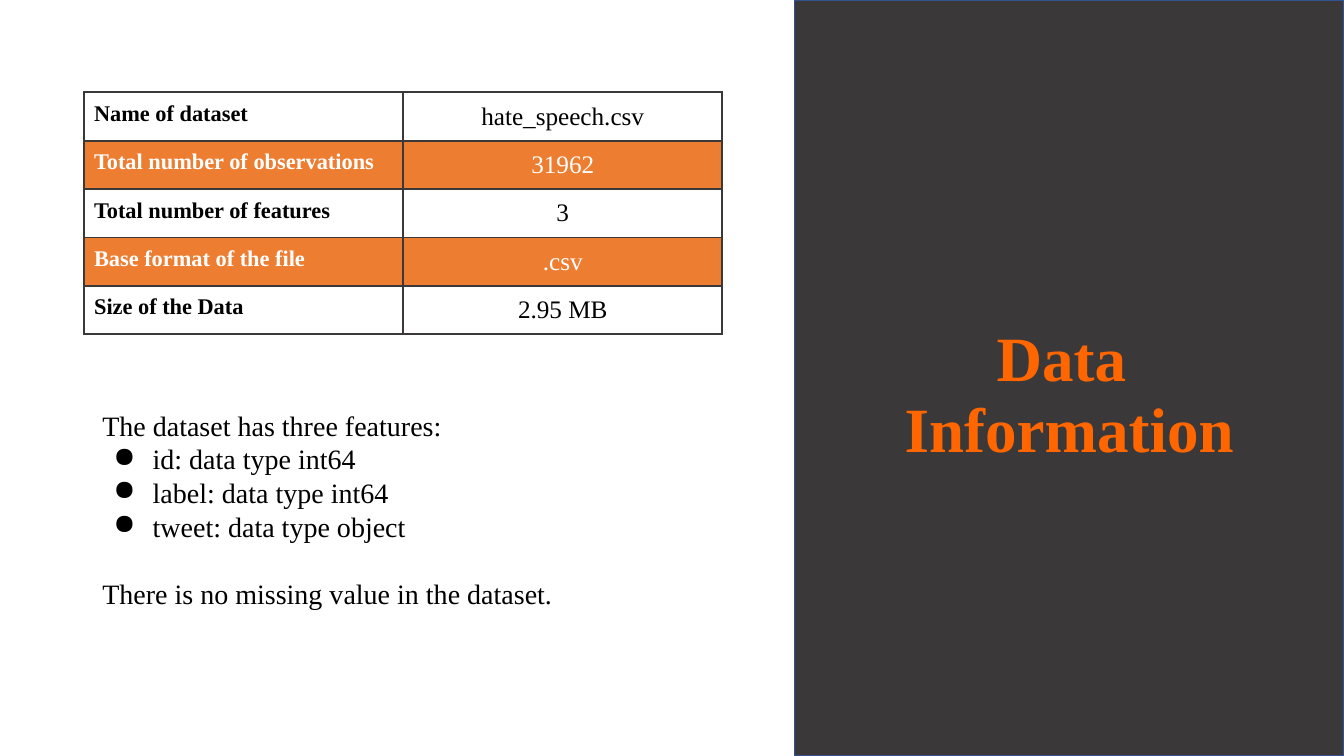
from pptx import Presentation
from pptx.dml.color import RGBColor
from pptx.enum.shapes import MSO_SHAPE
from pptx.enum.text import MSO_ANCHOR, PP_ALIGN
from pptx.oxml import parse_xml
from pptx.oxml.ns import nsdecls
from pptx.util import Inches, Pt

CHARCOAL = RGBColor(0x3A, 0x38, 0x38)
NAVY = RGBColor(0x31, 0x53, 0x8F)
BRIGHT_ORANGE = RGBColor(0xFF, 0x66, 0x00)
ORANGE = RGBColor(0xED, 0x7D, 0x31)
BLACK = RGBColor(0x00, 0x00, 0x00)
WHITE = RGBColor(0xFF, 0xFF, 0xFF)

FONT = "Times New Roman"
COLUMNS, ROWS = 160, 90
UNIT = Inches(1 / 12)
PANEL_LEFT = 94.56
PANEL_WIDTH = COLUMNS - PANEL_LEFT

FACTS = [
    ("Name of dataset", "hate_speech.csv"),
    ("Total number of observations", "31962"),
    ("Total number of features", "3"),
    ("Base format of the file", ".csv"),
    ("Size of the Data", "2.95 MB"),
]
FEATURES = ["id: data type int64", "label: data type int64", "tweet: data type object"]


def grid(*cells):
    return [round(cell * UNIT) for cell in cells]


def write(paragraph, text, size, color=BLACK, bold=False,
          align=PP_ALIGN.LEFT, spacing=None, before=0):
    paragraph.alignment = align
    paragraph.line_spacing = spacing
    paragraph.space_before = Pt(before)
    run = paragraph.add_run()
    run.text = text
    run.font.name = FONT
    run.font.size = Pt(size)
    run.font.bold = bold
    run.font.color.rgb = color


def add_bullet(paragraph):
    properties = paragraph._p.get_or_add_pPr()
    properties.set("marL", str(Inches(0.5)))
    properties.set("indent", str(Inches(-0.39)))
    properties.append(parse_xml(
        f'<a:buClr {nsdecls("a")}><a:srgbClr val="{BLACK}"/></a:buClr>'))
    properties.append(parse_xml(f'<a:buChar {nsdecls("a")} char="●"/>'))


def add_borders(cell):
    properties = cell._tc.get_or_add_tcPr()
    for position, side in enumerate(("lnL", "lnR", "lnT", "lnB")):
        properties.insert(position, parse_xml(
            f'<a:{side} {nsdecls("a")} w="{Pt(1.5)}"><a:solidFill>'
            f'<a:srgbClr val="{CHARCOAL}"/></a:solidFill></a:{side}>'))


def add_text_frame(slide, box, anchor, inset):
    frame = slide.shapes.add_textbox(*grid(*box)).text_frame
    frame.word_wrap = True
    frame.vertical_anchor = anchor
    frame.margin_left = frame.margin_right = Inches(0.1)
    frame.margin_top = frame.margin_bottom = Inches(inset)
    return frame


def add_panel(slide):
    panel = slide.shapes.add_shape(
        MSO_SHAPE.RECTANGLE, *grid(PANEL_LEFT, 0, PANEL_WIDTH, ROWS))
    panel.shadow.inherit = False
    panel.fill.solid()
    panel.fill.fore_color.rgb = CHARCOAL
    panel.line.color.rgb = NAVY
    panel.line.width = Pt(1)


def add_title(slide):
    frame = add_text_frame(
        slide, (PANEL_LEFT, 36.24, PANEL_WIDTH, 21.72), MSO_ANCHOR.MIDDLE, 0.05)
    for index, line in enumerate(("Data ", "Information")):
        paragraph = frame.add_paragraph() if index else frame.paragraphs[0]
        write(paragraph, line, 45, color=BRIGHT_ORANGE, bold=True,
              align=PP_ALIGN.CENTER, spacing=0.94)


def add_fact_table(slide):
    table = slide.shapes.add_table(
        len(FACTS), 2, *grid(10, 11, 76, 28.56)).table
    table.first_row = table.horz_banding = False
    for row, fact in enumerate(FACTS):
        banded = row % 2 == 1
        for column, text in enumerate(fact):
            is_label = column == 0
            cell = table.cell(row, column)
            cell.fill.solid()
            cell.fill.fore_color.rgb = ORANGE if banded else WHITE
            add_borders(cell)
            cell.margin_left = cell.margin_right = Inches(0.1)
            cell.margin_top = cell.margin_bottom = Inches(0.09)
            cell.vertical_anchor = MSO_ANCHOR.TOP if is_label else MSO_ANCHOR.MIDDLE
            write(cell.text_frame.paragraphs[0], text, 16 if is_label else 18,
                  color=WHITE if banded else BLACK, bold=is_label,
                  align=PP_ALIGN.LEFT if is_label else PP_ALIGN.CENTER)


def add_feature_notes(slide):
    frame = add_text_frame(slide, (11, 47.4, 73.92, 28.44), MSO_ANCHOR.TOP, 0.1)
    write(frame.paragraphs[0], "The dataset has three features:", 20, spacing=Pt(24))
    for feature in FEATURES:
        paragraph = frame.add_paragraph()
        write(paragraph, feature, 20, spacing=Pt(24))
        add_bullet(paragraph)
    write(frame.add_paragraph(), "There is no missing value in the dataset.", 20,
          spacing=Pt(24), before=24)


def main():
    presentation = Presentation()
    presentation.slide_width, presentation.slide_height = grid(COLUMNS, ROWS)
    slide = presentation.slides.add_slide(presentation.slide_layouts[6])
    add_panel(slide)
    add_title(slide)
    add_fact_table(slide)
    add_feature_notes(slide)
    presentation.save("out.pptx")


if __name__ == "__main__":
    main()
